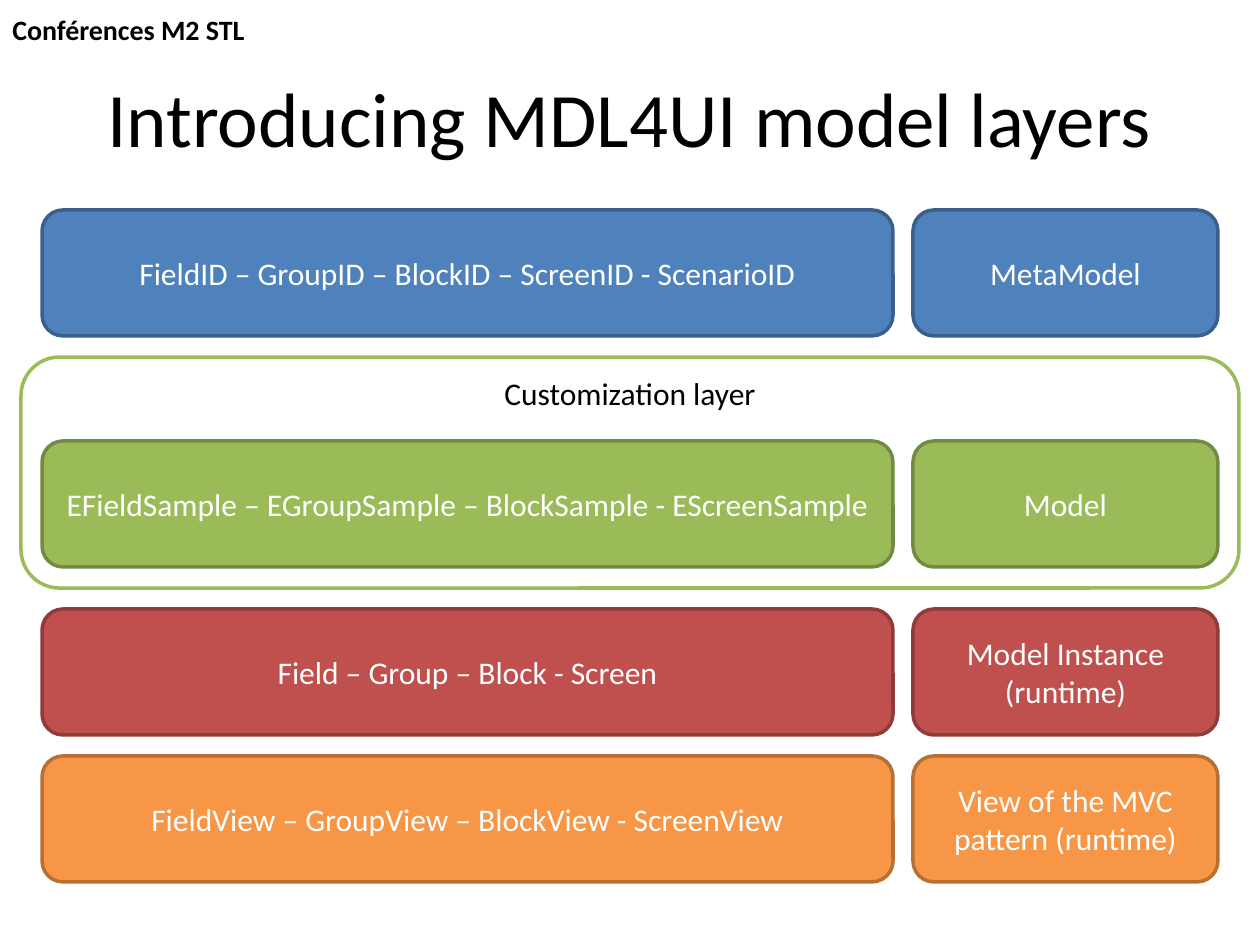
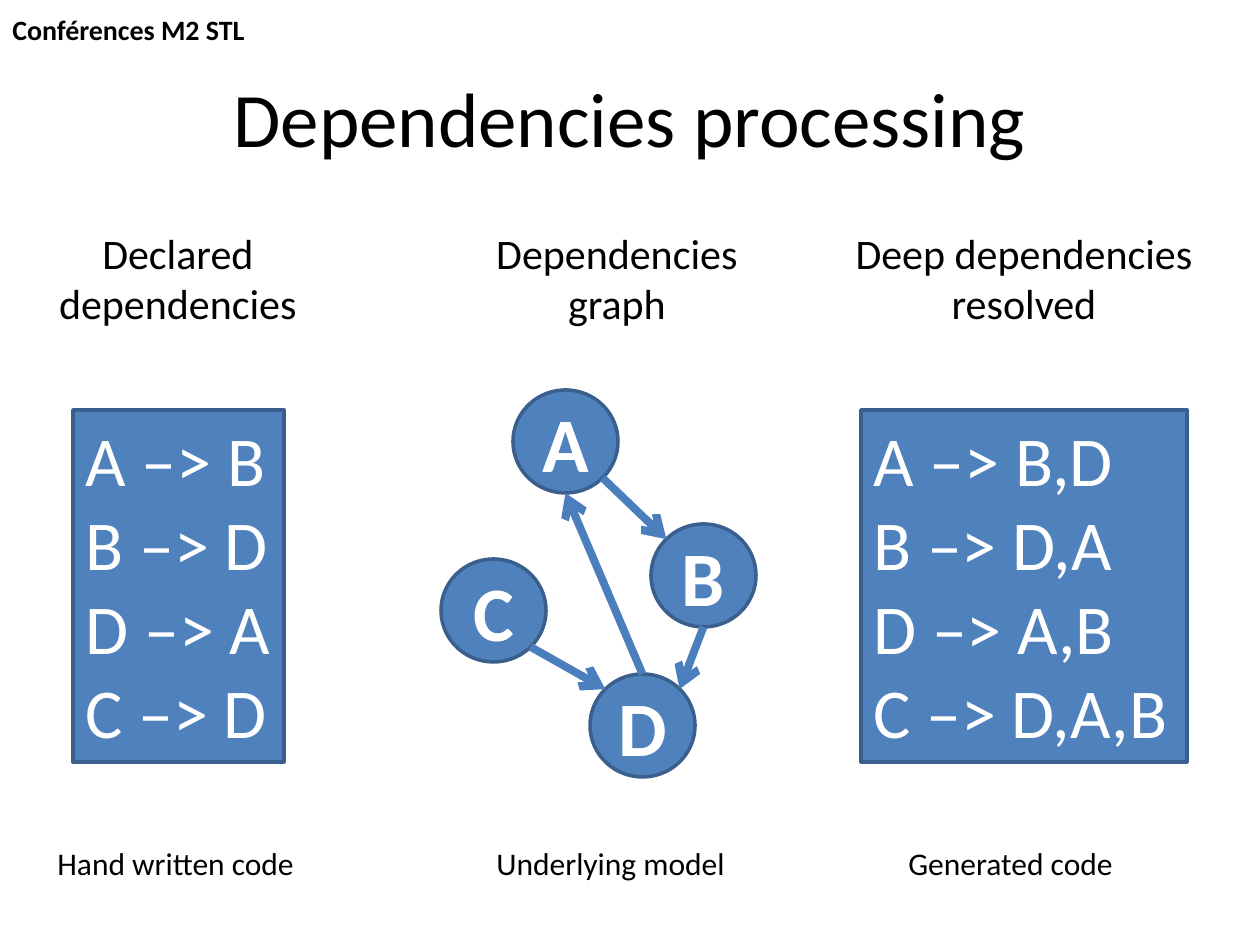
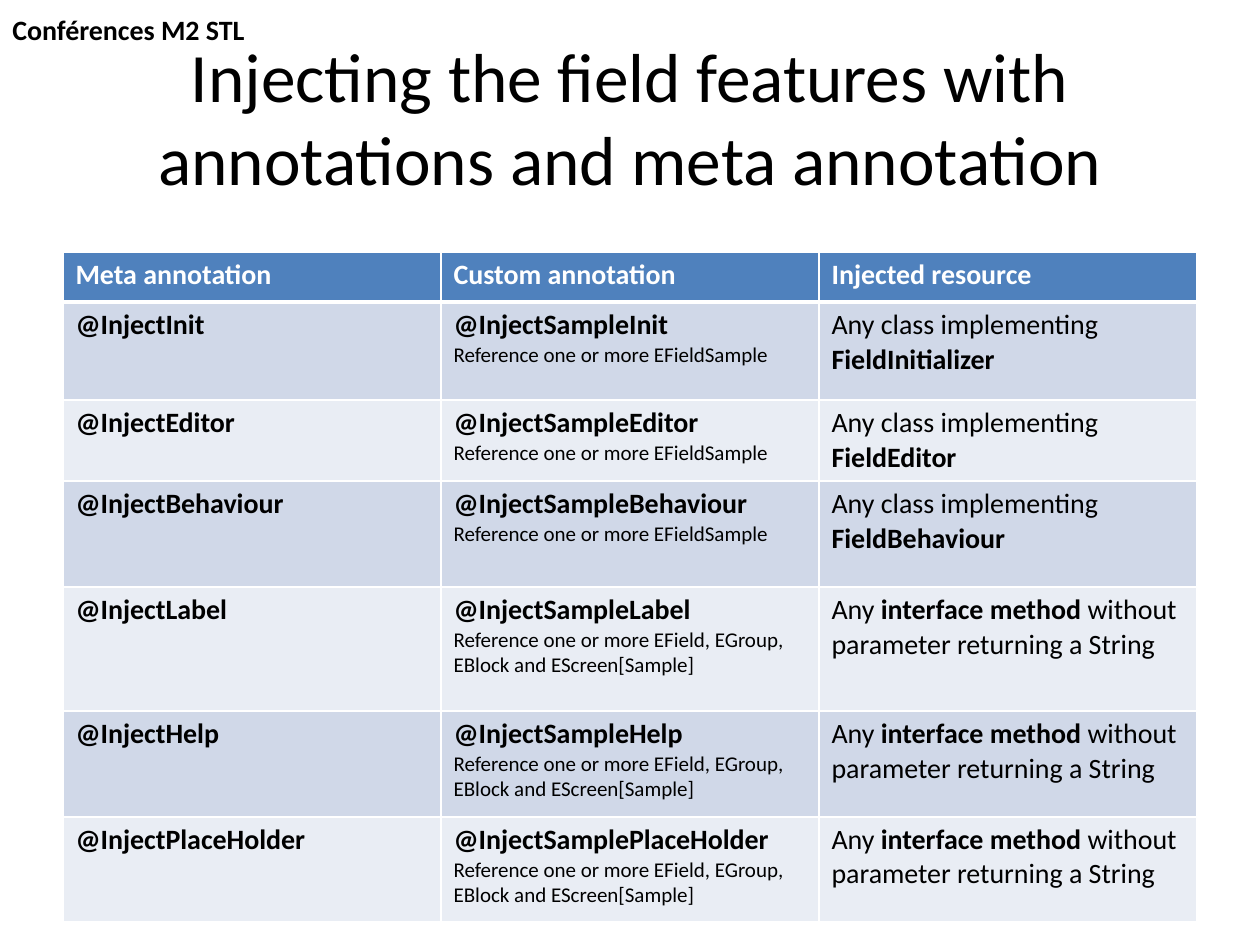
from dataclasses import dataclass
from math import cos, radians, sin

from lxml import etree
from pptx import Presentation
from pptx import util as u
from pptx.dml.color import RGBColor
from pptx.enum import shapes, text
from pptx.oxml import ns

PX = 914400 / 126


@dataclass(frozen=True)
class Theme:
    font: str = "Calibri"
    black: str = "000000"
    white: str = "FFFFFF"
    blue: tuple = ("4F81BD", "3A5F8C")
    green: tuple = ("9BBB59", "738A42")
    red: tuple = ("C0504D", "8E3B39")
    orange: tuple = ("F79646", "B76F34")
    arrow: str = "4B7EBC"
    bands: tuple = ("D0D8E8", "E9EDF4")
    title: float = 44
    long_title: float = 39.6
    code: float = 40
    heading: float = 24
    body: float = 18
    cell: float = 16
    note: float = 12


T = Theme()
LEFT, CENTER = text.PP_ALIGN.LEFT, text.PP_ALIGN.CENTER
TOP, MIDDLE = text.MSO_ANCHOR.TOP, text.MSO_ANCHOR.MIDDLE


# Shared helpers
def px(*lengths):
    return [u.Emu(round(length * PX)) for length in lengths]


def rgb(color):
    return RGBColor.from_string(color)


def write(frame, paragraphs, color, align=LEFT):
    """Fill a text frame; each paragraph is a list of (words, size, bold)."""
    for i, runs in enumerate(paragraphs):
        paragraph = frame.add_paragraph() if i else frame.paragraphs[0]
        paragraph.alignment = align
        for words, size, bold in runs:
            run = paragraph.add_run()
            run.text = words
            run.font.name = T.font
            run.font.size = u.Pt(size)
            run.font.bold = bold
            run.font.color.rgb = rgb(color)


def add_label(slide, box, lines, size, align=LEFT, bold=False, wrap=False, anchor=TOP):
    frame = slide.shapes.add_textbox(*px(*box)).text_frame
    frame.word_wrap = wrap
    frame.vertical_anchor = anchor
    write(frame, [[(line, size, bold)] for line in lines], T.black, align)


def add_panel(slide, kind, box, colors, lines, size, ink=T.white,
              align=CENTER, bold=False, anchor=MIDDLE):
    panel = slide.shapes.add_shape(kind, *px(*box))
    fill, line = colors
    panel.shadow.inherit = False
    panel.fill.solid()
    panel.fill.fore_color.rgb = rgb(fill)
    panel.line.color.rgb = rgb(line)
    panel.line.width = u.Pt(2)
    panel.text_frame.word_wrap = True
    panel.text_frame.vertical_anchor = anchor
    write(panel.text_frame, [[(words, size, bold)] for words in lines], ink, align)


def add_arrow(slide, start, end):
    arrow = slide.shapes.add_connector(shapes.MSO_CONNECTOR.STRAIGHT, *px(*start, *end))
    arrow.line.color.rgb = rgb(T.arrow)
    arrow.line.width = u.Pt(4.5)
    etree.SubElement(arrow.line._get_or_add_ln(), ns.qn("a:tailEnd"), type="arrow")
    etree.SubElement(arrow._element.spPr, ns.qn("a:effectLst"))


def new_slide(deck, title, size=T.title):
    slide = deck.slides.add_slide(deck.slide_layouts[6])
    add_label(slide, (0, 6, 261, 47), ["Conférences M2 STL"], T.cell, bold=True)
    add_label(slide, (63, 38, 1134, 157), [title], size, CENTER, wrap=True, anchor=MIDDLE)
    return slide


# Model layers
def add_layer(slide, box, colors, members, role):
    x, y, width, height = box
    role_width, gap = 305, 20
    members_width = width - role_width - gap
    rounded = shapes.MSO_SHAPE.ROUNDED_RECTANGLE
    add_panel(slide, rounded, (x, y, members_width, height), colors, [members], T.body)
    add_panel(slide, rounded, (x + members_width + gap, y, role_width, height),
              colors, [role], T.body)


def layers_slide(deck):
    slide = new_slide(deck, "Introducing MDL4UI model layers")
    add_panel(slide, shapes.MSO_SHAPE.ROUNDED_RECTANGLE, (21, 357, 1218, 231),
              (T.white, T.green[0]), ["Customization layer"], T.body, T.black, anchor=TOP)
    layers = [
        (210, T.blue, "FieldID – GroupID – BlockID – ScreenID - ScenarioID", "MetaModel"),
        (441, T.green, "EFieldSample – EGroupSample – BlockSample - EScreenSample", "Model"),
        (609, T.red, "Field – Group – Block - Screen", "Model Instance (runtime)"),
        (756, T.orange, "FieldView – GroupView – BlockView - ScreenView",
         "View of the MVC pattern (runtime)"),
    ]
    for y, colors, members, role in layers:
        add_layer(slide, (42, y, 1176, 126), colors, members, role)


# Dependencies
def add_graph(slide, left, top):
    width, height = 105, 103
    nodes = {"A": (72, 0), "B": (210, 134), "C": (0, 169), "D": (149, 284)}
    edges = [("A", 45, "B", 225), ("B", 90, "D", 315),
             ("C", 45, "D", 225), ("D", 270, "A", 90)]

    def rim(node, angle):
        x, y = nodes[node]
        return (left + x + width / 2 * (1 + cos(radians(angle))),
                top + y + height / 2 * (1 + sin(radians(angle))))

    for name, (x, y) in nodes.items():
        add_panel(slide, shapes.MSO_SHAPE.OVAL, (left + x, top + y, width, height),
                  T.blue, [name], T.title, bold=True)
    for source, leave, target, arrive in edges:
        add_arrow(slide, rim(source, leave), rim(target, arrive))


def add_rules(slide, box, targets):
    rules = [f"{source} –> {target}" for source, target in zip("ABDC", targets)]
    add_panel(slide, shapes.MSO_SHAPE.RECTANGLE, box, T.blue, rules, T.code,
              align=LEFT, anchor=TOP)


def dependencies_slide(deck):
    slide = new_slide(deck, "Dependencies processing")
    add_graph(slide, 441, 390)
    add_rules(slide, (73, 410, 211, 352), ["B", "D", "A", "D"])
    add_rules(slide, (861, 410, 326, 352), ["B,D", "D,A", "A,B", "D,A,B"])
    headings = [(45, 266, ["Declared", "dependencies"], False),
                (477, 280, ["Dependencies", "graph"], False),
                (823, 402, ["Deep dependencies resolved"], True)]
    for x, width, lines, wrap in headings:
        add_label(slide, (x, 221, width, 115), lines, T.heading, CENTER, wrap=wrap)
    captions = [(45, 266, "Hand written code"), (484, 257, "Underlying model"),
                (896, 232, "Generated code")]
    for x, width, caption in captions:
        add_label(slide, (x, 838, width, 50), [caption], T.body)


# Annotations
def annotation_rows():
    """Yield, for each row, three cells made of paragraphs of runs."""
    headers = ["Meta annotation", "Custom annotation", "Injected resource"]
    yield [[[(header, T.cell, True)]] for header in headers]
    field_classes = {"Init": "FieldInitializer", "Editor": "FieldEditor",
                     "Behaviour": "FieldBehaviour"}
    for feature in [*field_classes, "Label", "Help", "PlaceHolder"]:
        if feature in field_classes:
            scope = "EFieldSample"
            resource = [("Any class implementing ", T.cell, False),
                        (field_classes[feature], T.cell, True)]
        else:
            scope = "EField, EGroup, EBlock and EScreen[Sample]"
            resource = [("Any ", T.cell, False), ("interface method ", T.cell, True),
                        ("without parameter returning a String", T.cell, False)]
        yield [[[(f"@Inject{feature}", T.cell, True)]],
               [[(f"@InjectSample{feature}", T.cell, True)],
                [(f"Reference one or more {scope}", T.note, False)]],
               [resource]]


def style_cell(cell, fill, top, bottom):
    properties = cell._tc.get_or_add_tcPr()
    for side, points in (("L", 1), ("R", 1), ("T", top), ("B", bottom)):
        border = etree.SubElement(properties, ns.qn(f"a:ln{side}"), w=str(u.Pt(points)))
        paint = etree.SubElement(border, ns.qn("a:solidFill"))
        etree.SubElement(paint, ns.qn("a:srgbClr"), val=T.white)
    cell.fill.solid()
    cell.fill.fore_color.rgb = rgb(fill)


def add_annotations(slide, left, top, width):
    heights = [50, 98, 81, 106, 124, 106, 105]
    box = px(left, top, width, sum(heights))
    table = slide.shapes.add_table(len(heights), 3, *box).table
    for r, (height, row) in enumerate(zip(heights, annotation_rows())):
        table.rows[r].height = px(height)[0]
        fill = T.bands[(r - 1) % 2] if r else T.blue[0]
        for c, paragraphs in enumerate(row):
            cell = table.cell(r, c)
            style_cell(cell, fill, 3 if r == 1 else 1, 1 if r else 3)
            write(cell.text_frame, paragraphs, T.black if r else T.white)


def annotations_slide(deck):
    slide = new_slide(deck, "Injecting the field features with annotations and meta annotation",
                      T.long_title)
    add_annotations(slide, 63, 252, 1134)


def main():
    deck = Presentation()
    deck.slide_width, deck.slide_height = px(1260, 945)
    layers_slide(deck)
    dependencies_slide(deck)
    annotations_slide(deck)
    deck.save("out.pptx")


if __name__ == "__main__":
    main()
